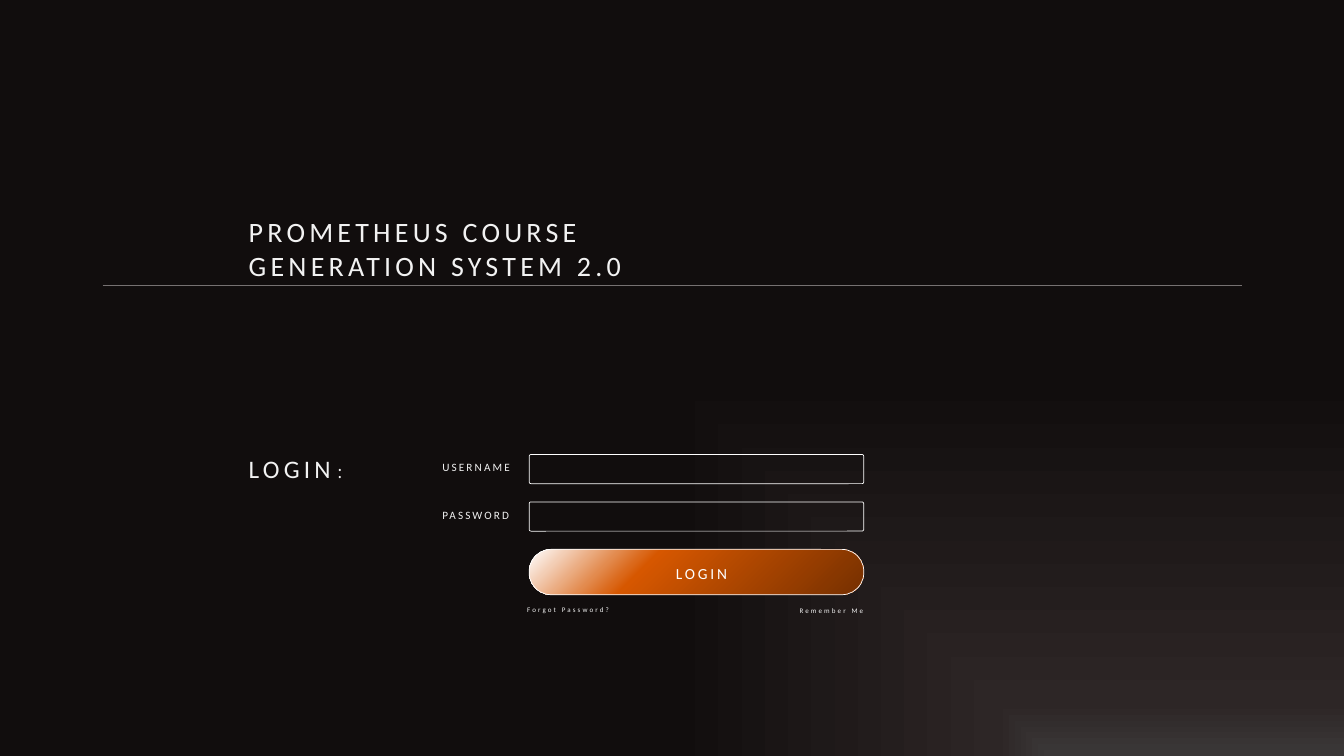
from lxml import etree
from pptx import Presentation
from pptx.dml.color import RGBColor
from pptx.enum.shapes import MSO_CONNECTOR as Line, MSO_SHAPE as Shape
from pptx.enum.text import PP_ALIGN as Align
from pptx.oxml import parse_xml
from pptx.oxml.ns import nsdecls, qn
from pptx.util import Pt

WHITE = RGBColor(0xFF, 0xFF, 0xFF)
PALE = RGBColor(0xF2, 0xF2, 0xF2)
GREY = RGBColor(0x76, 0x71, 0x71)
ORANGE = RGBColor(0xD6, 0x57, 0x00)
RUST = RGBColor(0x76, 0x30, 0x00)
ASH = RGBColor(0x3B, 0x38, 0x38)
SMOKE = RGBColor(0x2D, 0x26, 0x26)
NIGHT = RGBColor(0x11, 0x0D, 0x0D)

CORNER = ('<a:path path="rect">'
          '<a:fillToRect l="100000" t="100000"/></a:path>')
SLANT = '<a:lin ang="2700000" scaled="0"/>'


def blend(host, stops, shade):
    """Swap the solid fill of host for a gradient."""
    marks = "".join(
        f'<a:gs pos="{pos * 1000}"><a:srgbClr val="{tone}"/></a:gs>'
        for pos, tone in stops)
    grad = parse_xml(f'<a:gradFill {nsdecls("a")} rotWithShape="1">'
                     f'<a:gsLst>{marks}</a:gsLst>{shade}</a:gradFill>')
    host.replace(host.find(qn("a:solidFill")), grad)


def write(shapes, box, parts, gap, tone=PALE, align=Align.LEFT):
    """Add one text line made of (text, size, font name) parts."""
    frame = shapes.add_textbox(*map(Pt, box)).text_frame
    frame.word_wrap = True
    para = frame.paragraphs[0]
    para.alignment = align
    for text, size, name in parts:
        run = para.add_run()
        run.text = text
        for key, value in {"size": Pt(size), "name": name}.items():
            setattr(run.font, key, value)
        run.font.color.rgb = tone
        run._r.get_or_add_rPr().set("spc", str(round(gap * 100)))


def frame_box(shapes, box, curve):
    """Add a rounded box with a thin white edge and no fill."""
    shape = shapes.add_shape(Shape.ROUNDED_RECTANGLE, *map(Pt, box))
    shape.adjustments[0] = curve
    shape.shadow.inherit = False
    shape.fill.background()
    shape.line.color.rgb = WHITE
    shape.line.width = Pt(0.5)
    return shape


def backdrop(slide):
    slide.background.fill.solid()
    host = slide.element.find(".//" + qn("p:bgPr"))
    blend(host, [(0, ASH), (14, SMOKE), (100, NIGHT)], CORNER)


def header(shapes, left, top, width):
    # Title above a full-width rule
    write(shapes, (left + 97.2, top, 309.6, 55.4),
          [("PROMETHEUS COURSE GENERATION SYSTEM 2.0", 20, "Calibri")], 3)
    level = Pt(top + 54)
    rule = shapes.add_connector(Line.STRAIGHT, Pt(left), level,
                                Pt(left + width), level)
    rule.line.color.rgb = GREY
    rule.line.width = Pt(0.75)
    etree.SubElement(rule._element.spPr, qn("a:effectLst"))


def button(shapes, left, top, width, height):
    group = shapes.add_group_shape().shapes
    pill = frame_box(group, (left, top, width, height), 0.482)
    pill.fill.solid()
    blend(pill._element.spPr, [(0, WHITE), (35, ORANGE), (100, RUST)], SLANT)
    write(group, (left + 29.5, top + 7.2, 187.2, 20.9),
          [("LOGIN", 11, "Calibri")], 2, WHITE, Align.CENTER)


def form(shapes, left, top, width):
    # Section heading
    write(shapes, (left - 207.4, top - 4.2, 254.2, 28.8),
          [("LOGIN", 18, "Calibri"), (":", 12, "Noto Sans Mono")], 3)
    # Labelled fields
    step = 33.9
    for row, label in enumerate(["USERNAME", "PASSWORD"]):
        level = top + row * step
        write(shapes, (left - 69.1, level + 0.7, 68.4, 17.3),
              [(label, 8, "Calibri")], 1.5)
        frame_box(shapes, (left, level, width, 20.9), 0.063)
    # Button and the small links below it
    button(shapes, left, top + 2 * step, width, 32.4)
    foot = top + 104.4
    write(shapes, (left - 8.6, foot, 102.2, 13.7),
          [("Forgot Password?", 5, "Calibri")], 1.5)
    write(shapes, (left + width - 54, foot + 0.7, 63.4, 13.7),
          [("Remember Me ", 5, "Calibri")], 1.5, align=Align.RIGHT)


def main():
    deck = Presentation()
    deck.slide_width, deck.slide_height = Pt(960), Pt(540)
    slide = deck.slides.add_slide(deck.slide_layouts[6])
    backdrop(slide)
    header(slide.shapes, 73.4, 149.8, 813.6)
    form(slide.shapes, 378, 324.6, 239)
    deck.save("out.pptx")


if __name__ == "__main__":
    main()
